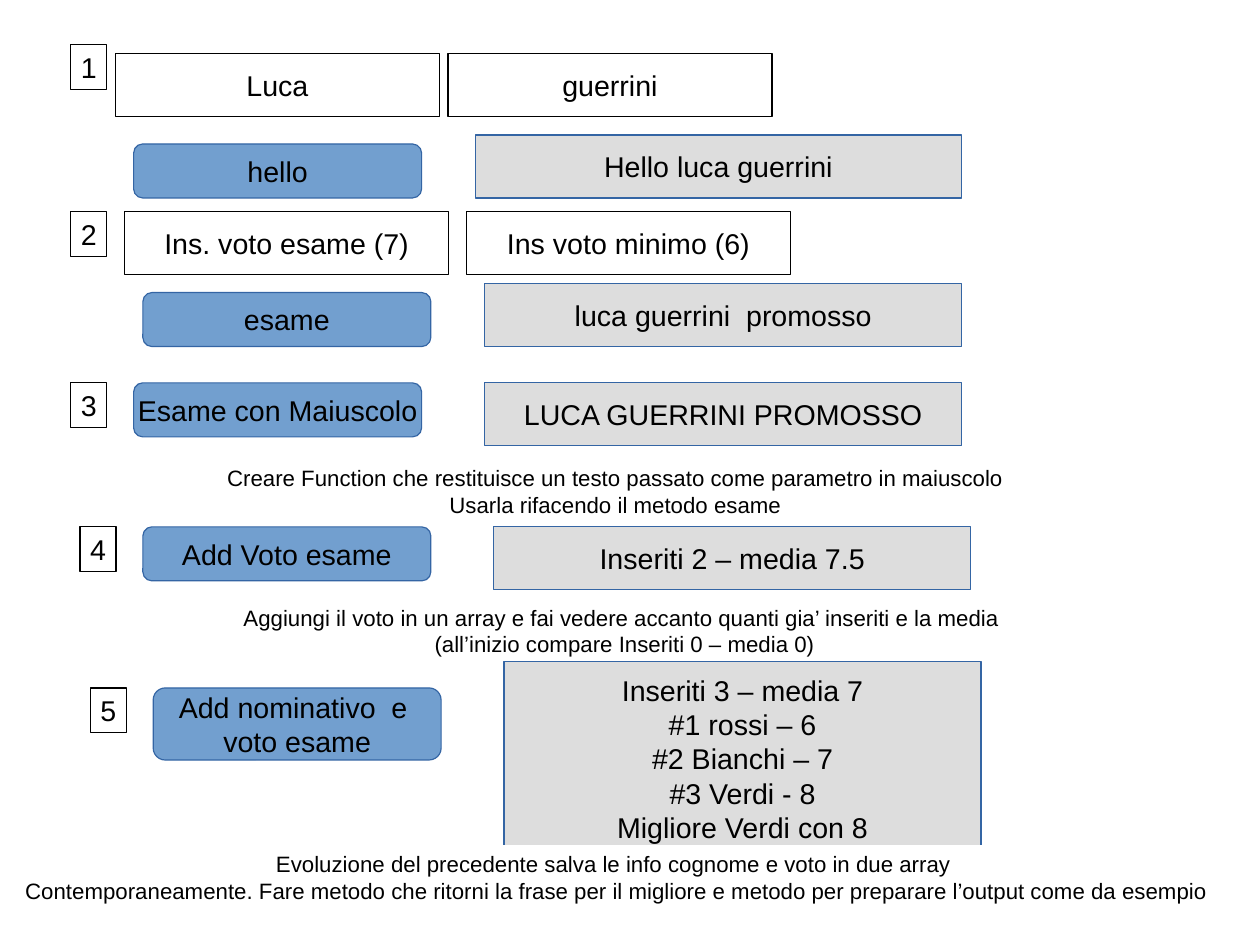
"""Build a slide of five form exercises with fields, buttons and results."""
from pptx import Presentation
from pptx.dml.color import RGBColor
from pptx.enum.shapes import MSO_SHAPE
from pptx.enum.text import MSO_ANCHOR, MSO_AUTO_SIZE, PP_ALIGN
from pptx.util import Pt

RECT = MSO_SHAPE.RECTANGLE
ROUND = MSO_SHAPE.ROUNDED_RECTANGLE
MIDDLE = MSO_ANCHOR.MIDDLE
CENTER = PP_ALIGN.CENTER
FIXED = MSO_AUTO_SIZE.NONE


def color(code):
    return RGBColor.from_string(code)


def add_box(text, left, top, wide, high, form=RECT, fill="FFFFFF",
            line="000000", weight=0.79, size=18, base=3.6):
    box = slide.shapes.add_shape(form, Pt(left), Pt(top), Pt(wide), Pt(high))
    box.shadow.inherit = False
    box.fill.solid()
    box.fill.fore_color.rgb = color(fill)
    box.line.color.rgb = color(line)
    box.line.width = Pt(weight)
    frame = box.text_frame
    frame.text = text
    frame.word_wrap = False
    frame.auto_size = FIXED
    frame.vertical_anchor = MIDDLE
    frame.margin_bottom = Pt(base)
    for para in frame.paragraphs:
        para.alignment = CENTER
        para.font.name = "Arial"
        para.font.size = Pt(size)
        para.font.color.rgb = color("000000")


deck = Presentation()
deck.slide_width, deck.slide_height = Pt(793.7), Pt(595.3)
slide = deck.slides.add_slide(deck.slide_layouts[6])

styles = {
    "label": dict(wide=22.7, high=28.3),
    "field": dict(wide=204.1, high=39.7),
    "button": dict(wide=181.4, high=34, form=ROUND, fill="729FCF",
                   line="3465A4", weight=0),
    "result": dict(wide=300.5, high=39.7, fill="DDDDDD", line="3465A4",
                   weight=0),
    "note": dict(wide=607, high=39.7, line="FFFFFF", size=14),
}

items = [
    ("label", "1", 44.6, 28.1, {}),
    ("field", "Luca", 72.7, 33.8, {}),
    ("field", "guerrini", 282.2, 33.8, {}),
    ("button", "hello", 84.2, 90.7, {}),
    ("result", "Hello luca guerrini", 299.5, 85, dict(wide=306)),

    ("label", "2", 44.6, 133.2, {}),
    ("field", "Ins. voto esame (7)", 78.5, 133.2, {}),
    ("field", "Ins voto minimo (6)", 293.8, 133.2, {}),
    ("button", "esame", 90, 184.3, {}),
    ("result", "luca guerrini  promosso", 305.3, 178.6, {}),

    ("label", "3", 44.6, 241.2, {}),
    ("button", "Esame con Maiuscolo", 84.2, 241.2, {}),
    ("result", "LUCA GUERRINI PROMOSSO", 305.3, 241.2, {}),
    ("note", "Creare Function che restituisce un testo passato come parametro "
     "in maiuscolo\nUsarla rifacendo il metodo esame", 84.2, 297.4,
     dict(base=19.6)),

    ("label", "4", 50.4, 331.9, {}),
    ("button", "Add Voto esame", 90, 331.9, {}),
    ("result", "Inseriti 2 – media 7.5", 311, 331.9, {}),
    ("note", "Aggiungi il voto in un array e fai vedere accanto quanti gia’ "
     "inseriti e la media \n(all’inizio compare Inseriti 0 – media 0)",
     90, 377.3, {}),

    ("label", "5", 56.9, 433.4, {}),
    ("button", "Add nominativo  e \nvoto esame", 96.5, 433.4, dict(high=45.4)),
    ("result", "Inseriti 3 – media 7\v#1 rossi – 6\n#2 Bianchi – 7\n"
     "#3 Verdi - 8\nMigliore Verdi con 8", 317.5, 416.9, dict(high=121.7)),
    ("note", "Evoluzione del precedente salva le info cognome e voto in due "
     "array \nContemporaneamente. Fare metodo che ritorni la frase per il "
     "migliore e metodo per preparare l’output come da esempio", 85, 532.8, {}),
]

for kind, text, left, top, extra in items:
    add_box(text, left, top, **{**styles[kind], **extra})

deck.save("out.pptx")
